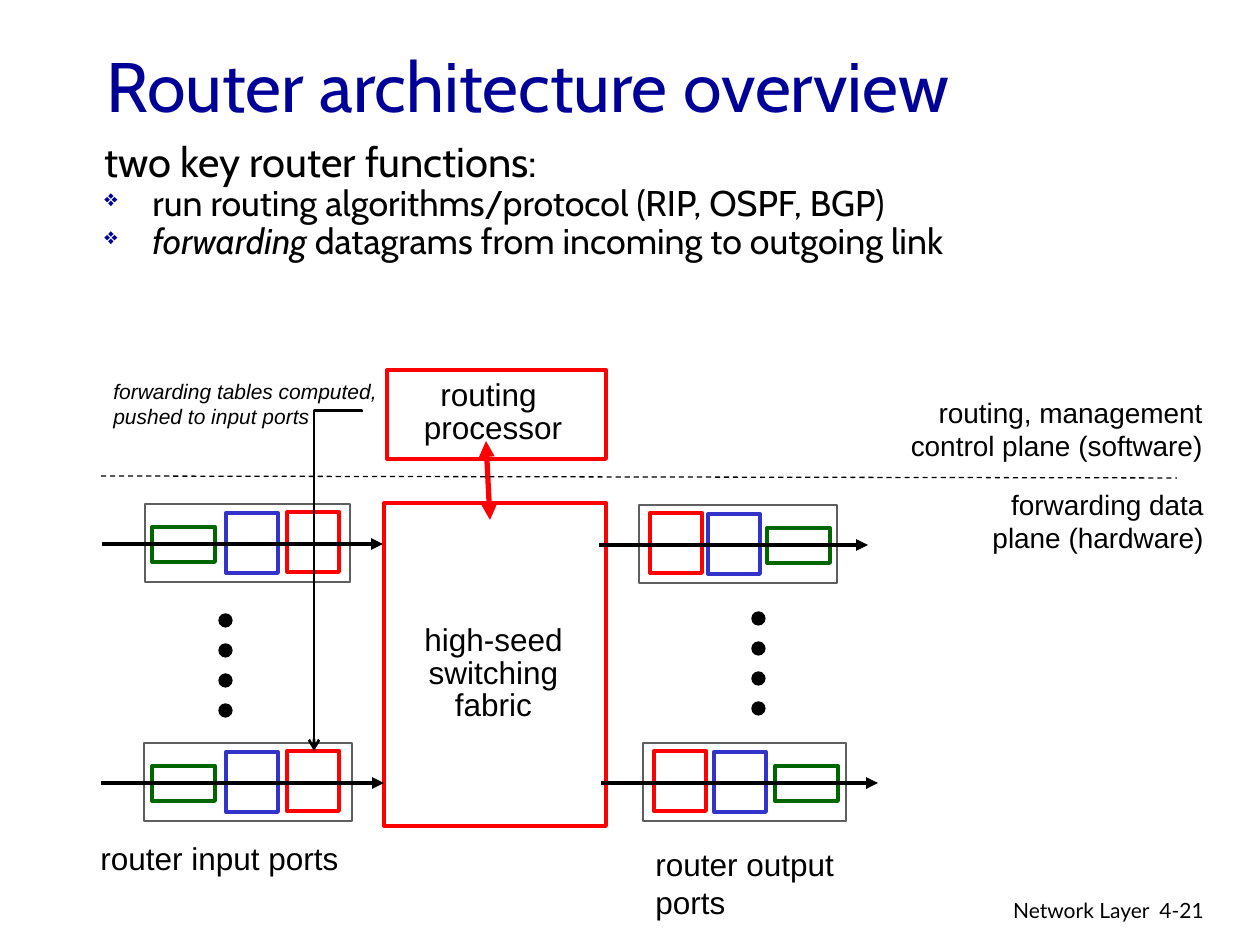
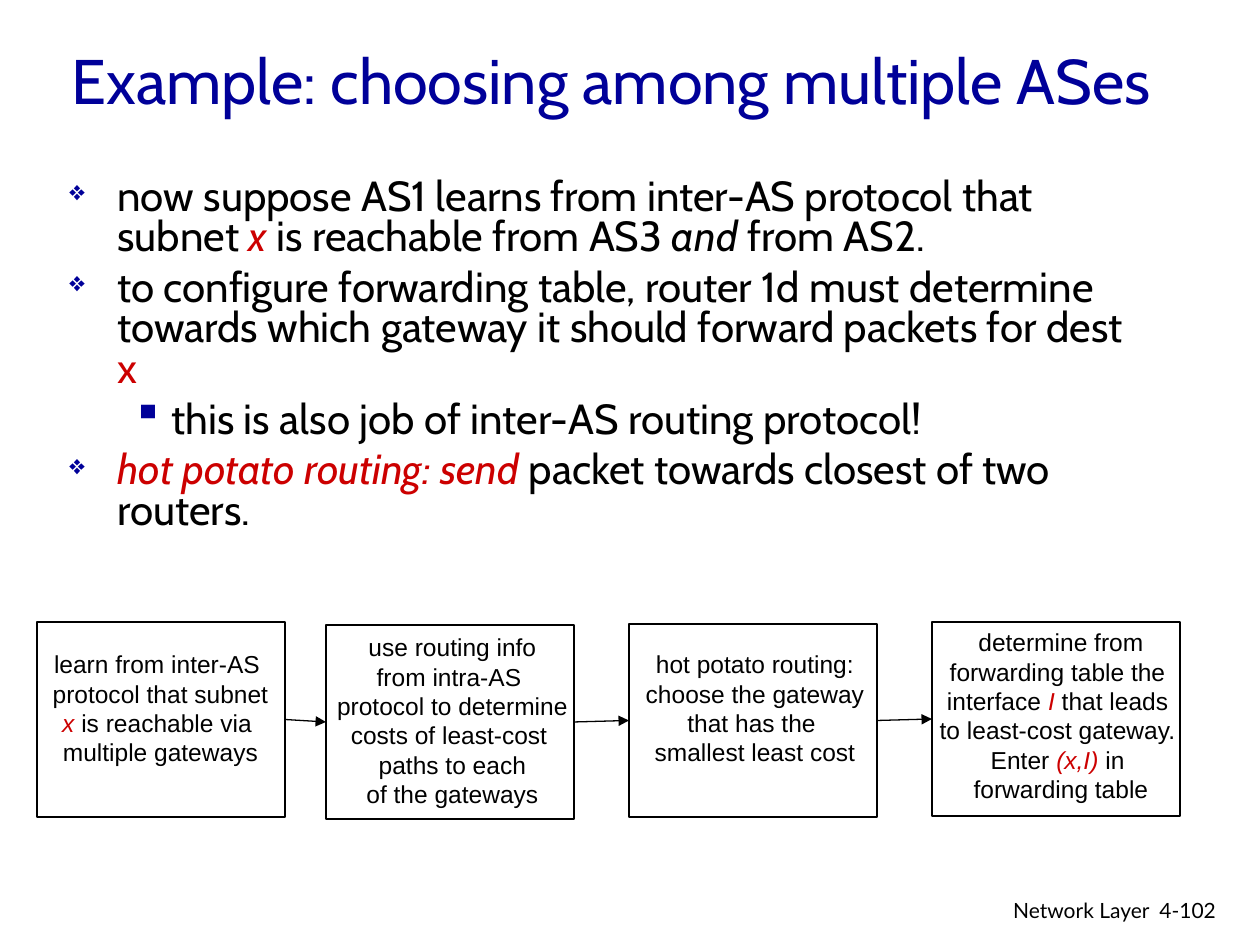
from lxml import etree
from pptx import Presentation
from pptx.dml.color import RGBColor
from pptx.enum.dml import MSO_LINE
from pptx.enum.shapes import MSO_CONNECTOR, MSO_SHAPE
from pptx.enum.text import MSO_ANCHOR, MSO_AUTO_SIZE, PP_ALIGN
from pptx.oxml.ns import qn
from pptx.util import Pt

STRAIGHT, ELBOW = MSO_CONNECTOR.STRAIGHT, MSO_CONNECTOR.ELBOW
RECTANGLE, OVAL = MSO_SHAPE.RECTANGLE, MSO_SHAPE.OVAL
LEFT, CENTER, RIGHT = PP_ALIGN.LEFT, PP_ALIGN.CENTER, PP_ALIGN.RIGHT
PX = 914400 / 126
COLORS = {name: RGBColor.from_string(value) for name, value in {
    "black": "000000", "white": "FFFFFF", "navy": "000099", "accent": "CC0000",
    "red": "FF0000", "green": "006600", "blue": "3333CC", "gray": "5F5F5F",
}.items()}
BULLETS = {"❖": (48, 48, 65000), "▪": (102, 39, 100000)}


def add_text(slide, box, paragraphs, size, font="Arial", align=LEFT, wrap=True,
             italic=False, spacing=None, before=0, bullets=""):
    shape = slide.shapes.add_textbox(*[round(n * PX) for n in box])
    frame = shape.text_frame
    frame.word_wrap = wrap
    for index, runs in enumerate(paragraphs):
        paragraph = frame.add_paragraph() if index else frame.paragraphs[0]
        paragraph.alignment = align
        paragraph.line_spacing = spacing
        if index and before:
            paragraph.space_before = Pt(before)
        mark = bullets[index:index + 1].strip()
        if mark:
            margin, hanging, percent = BULLETS[mark]
            properties = paragraph._p.get_or_add_pPr()
            properties.set("marL", str(round(margin * PX)))
            properties.set("indent", str(-round(hanging * PX)))
            color = etree.SubElement(properties, qn("a:buClr"))
            etree.SubElement(color, qn("a:srgbClr"), val=str(COLORS["navy"]))
            etree.SubElement(properties, qn("a:buSzPct"), val=str(percent))
            etree.SubElement(properties, qn("a:buChar"), char=mark)
        paragraph.font.name = font
        paragraph.font.size = Pt(size)
        paragraph.font.italic = italic
        paragraph.font.color.rgb = COLORS["black"]
        for run_text, color, slanted in [(runs, None, None)] if isinstance(runs, str) else runs:
            run = paragraph.add_run()
            run.text = run_text
            if color:
                run.font.color.rgb = COLORS[color]
            if slanted:
                run.font.italic = True
    return shape


def add_line(slide, kind, ends, width, color="black", head=None, tail=None):
    connector = slide.shapes.add_connector(kind, *[round(n * PX) for n in ends])
    connector.line.width = Pt(width)
    connector.line.color.rgb = COLORS[color]
    outline = connector.line._get_or_add_ln()
    for tag, arrow in (("a:headEnd", head), ("a:tailEnd", tail)):
        if arrow:
            etree.SubElement(outline, qn(tag), type=arrow)
    etree.SubElement(connector._element.spPr, qn("a:effectLst"))
    return connector


presentation = Presentation()
presentation.slide_width = round(1260 * PX)
presentation.slide_height = round(945 * PX)

slides = []
for title_text, title_box, title_size, number in [
    ("Router architecture overview", (94, 42, 1071, 84), 40, "4-21"),
    ("Example: choosing among multiple ASes", (59, 0, 1208, 158), 36, "4-102"),
]:
    slide = presentation.slides.add_slide(presentation.slide_layouts[5])
    title = slide.shapes.title
    title.left, title.top, title.width, title.height = [round(n * PX) for n in title_box]
    title.text_frame.text = title_text
    title.text_frame.auto_size = MSO_AUTO_SIZE.NONE
    title.text_frame.vertical_anchor = MSO_ANCHOR.MIDDLE
    paragraph = title.text_frame.paragraphs[0]
    paragraph.alignment = LEFT
    paragraph.font.name = "Cabin"
    paragraph.font.size = Pt(title_size)
    paragraph.font.color.rgb = COLORS["navy"]
    add_text(slide, (762, 891, 400, 39), ["Network Layer"], 12, "Lato", RIGHT)
    add_text(slide, (1147, 891, 93, 38), [number], 12, "Lato")
    slides.append(slide)
router, gateways = slides

functions = add_text(router, (92, 145, 1120, 126), [
    "two key router functions:",
    "run routing algorithms/protocol (RIP, OSPF, BGP)",
    [("forwarding ", None, True), ("datagrams from incoming to outgoing link", None, False)],
], 20.4, "Cabin", spacing=0.65, before=6, bullets=" ❖❖")
functions.text_frame.paragraphs[0].font.size = Pt(23.8)

boxes = [
    (RECTANGLE, 384, 503, 222, 323, "red", 2.25, "white"),
    (RECTANGLE, 387, 370, 219, 89, "red", 2.25, "white"),
]
arrows = []
for top, frame_left, frame_width, green_left, blue_left, red_left, start, end in [
    (504, 145, 205, 152, 226, 287, 102, 383),
    (743, 144, 208, 152, 226, 287, 101, 384),
    (505, 639, 198, 767, 708, 650, 599, 868),
    (743, 643, 203, 775, 714, 654, 601, 878),
]:
    boxes += [
        (RECTANGLE, frame_left, top, frame_width, 78, "gray", 1.5, "white"),
        (RECTANGLE, green_left, top + 23, 63, 35, "green", 2.25, "white"),
        (RECTANGLE, blue_left, top + 9, 52, 60, "blue", 2.25, "white"),
        (RECTANGLE, red_left, top + 8, 52, 60, "red", 2.25, "white"),
    ]
    arrows.append((start, top + 40, end, top + 40))
for dot_left, first_top in ((219, 614), (752, 612)):
    for row in range(4):
        boxes.append((OVAL, dot_left, first_top + 30 * row, 13, 13, "black", 0.75, "black"))

for kind, left, top, width, height, color, line_width, fill in boxes:
    shape = router.shapes.add_shape(kind, *[round(n * PX) for n in (left, top, width, height)])
    shape.shadow.inherit = False
    shape.fill.solid()
    shape.fill.fore_color.rgb = COLORS[fill]
    shape.line.color.rgb = COLORS[color]
    shape.line.width = Pt(line_width)

for arrow in arrows:
    add_line(router, STRAIGHT, arrow, 2.25, tail="triangle")
add_line(router, STRAIGHT, (486, 441, 490, 520), 3, "red", "triangle", "triangle")
plane_divider = add_line(router, STRAIGHT, (101, 476, 1177, 478), 0.75)
plane_divider.line.dash_style = MSO_LINE.DASH

table_push = add_line(router, ELBOW, (168, 557, 508, 605), 1.5, tail="arrow")
properties = table_push._element.spPr
properties.find(qn("a:xfrm")).set("rot", "5400000")
adjustments = properties.find(qn("a:prstGeom")).find(qn("a:avLst"))
etree.SubElement(adjustments, qn("a:gd"), name="adj1", fmla="val -100")

for box, lines in [
    ((408, 620, 171, 110), ["high-seed ", "switching", "fabric"]),
    ((411, 375, 164, 77), ["routing ", "processor"]),
]:
    add_text(router, box, lines, 18, align=CENTER, wrap=False, spacing=0.85)
add_text(router, (88, 833, 263, 50), ["router input ports"], 18, wrap=False)
add_text(router, (643, 839, 282, 50), ["router output ports"], 18, wrap=False)
add_text(router, (949, 481, 267, 81), ["forwarding data plane (hardware)"], 16, align=RIGHT)
add_text(router, (877, 389, 338, 81),
         ["routing, management", "control plane (software)"], 16, align=RIGHT)
add_text(router, (101, 372, 289, 63),
         ["forwarding tables computed,", "pushed to input ports"], 12, wrap=False, italic=True)

add_text(gateways, (57, 173, 1101, 379), [
    [("now suppose AS1 learns from inter-AS protocol that subnet ", None, False),
     ("x ", "accent", True), ("is reachable from AS3 ", None, False),
     ("and", None, True), (" from AS2.", None, False)],
    [("to configure forwarding table, router 1d must determine towards which gateway "
      "it should forward packets for dest ", None, False), ("x", "accent", False)],
    "this is also job of inter-AS routing protocol!",
    [("hot potato routing: send", "accent", True),
     (" packet towards closest of two routers.", None, False)],
], 24, "Cabin", spacing=0.8, before=6, bullets="❖❖▪❖")

steps = [
    (37, 622, 195, (37, 643, 247, 131), [
        "learn from inter-AS ", "protocol that subnet ",
        [("x ", "accent", True), ("is reachable via ", None, False)], "multiple gateways"]),
    (326, 625, 194, (307, 626, 291, 189), [
        "use routing info", "from intra-AS ", "protocol to determine",
        "costs of least-cost ", "paths to each", "of the gateways"]),
    (629, 624, 193, (631, 643, 248, 131), [
        "hot potato routing:", "choose the gateway", "that has the ", "smallest least cost"]),
    (932, 622, 194, (926, 621, 270, 189), [
        "determine from", "forwarding table the ",
        [("interface", None, False), (" I ", "accent", True), ("that leads ", None, False)],
        "to least-cost gateway. ",
        [("Enter ", None, False), ("(x,I) ", "accent", True), ("in ", None, False)],
        "forwarding table"]),
]
previous = None
for left, top, height, text_box, lines in steps:
    step = gateways.shapes.add_shape(RECTANGLE, *[round(n * PX) for n in (left, top, 248, height)])
    step.shadow.inherit = False
    step.fill.background()
    step.line.color.rgb = COLORS["black"]
    step.line.width = Pt(0.75)
    add_text(gateways, text_box, lines, 14, align=CENTER, wrap=False)
    if previous:
        arrow = add_line(gateways, STRAIGHT, (0, 0, 0, 0), 0.75, tail="triangle")
        arrow.begin_connect(previous, 3)
        arrow.end_connect(step, 1)
    previous = step

presentation.save("out.pptx")
